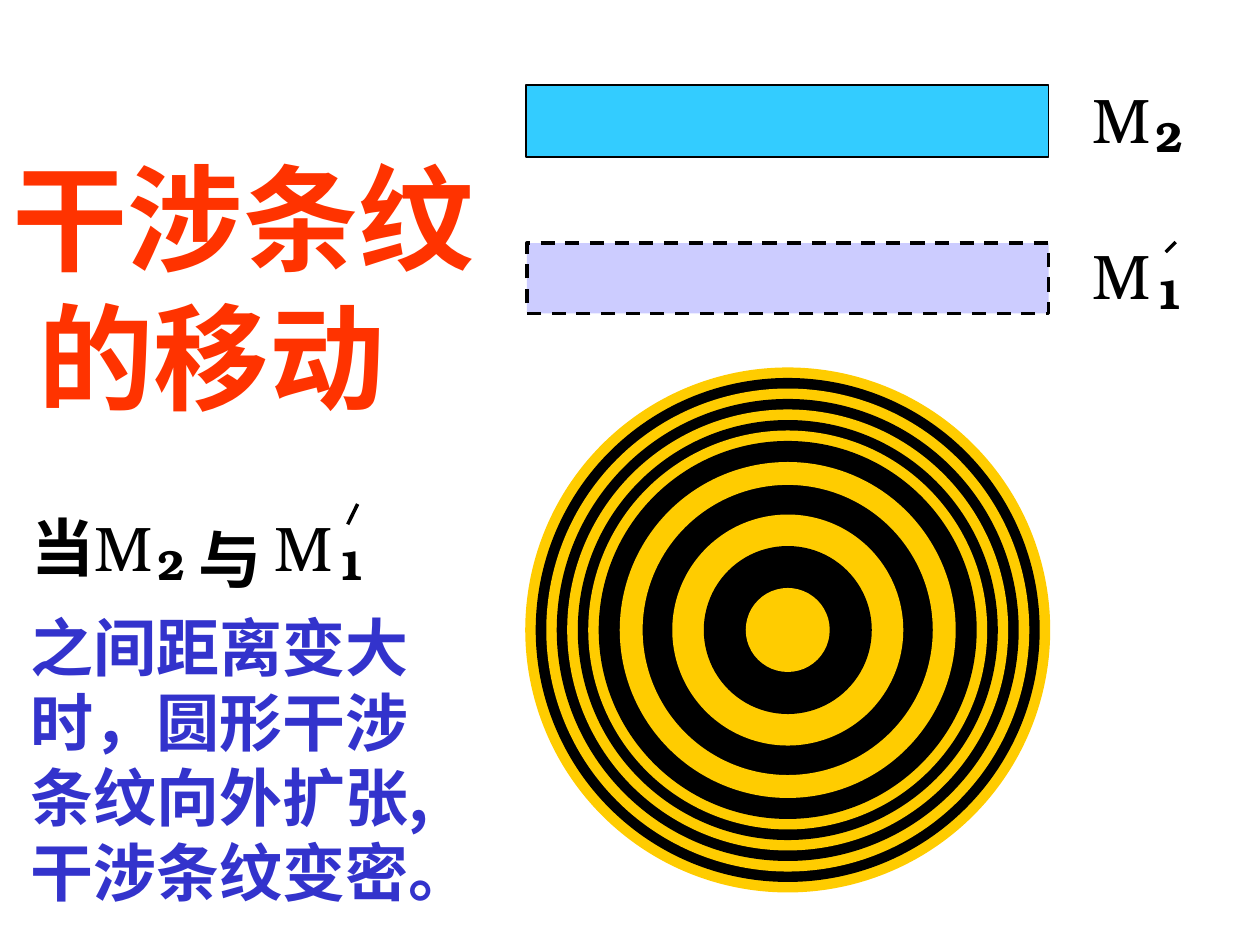
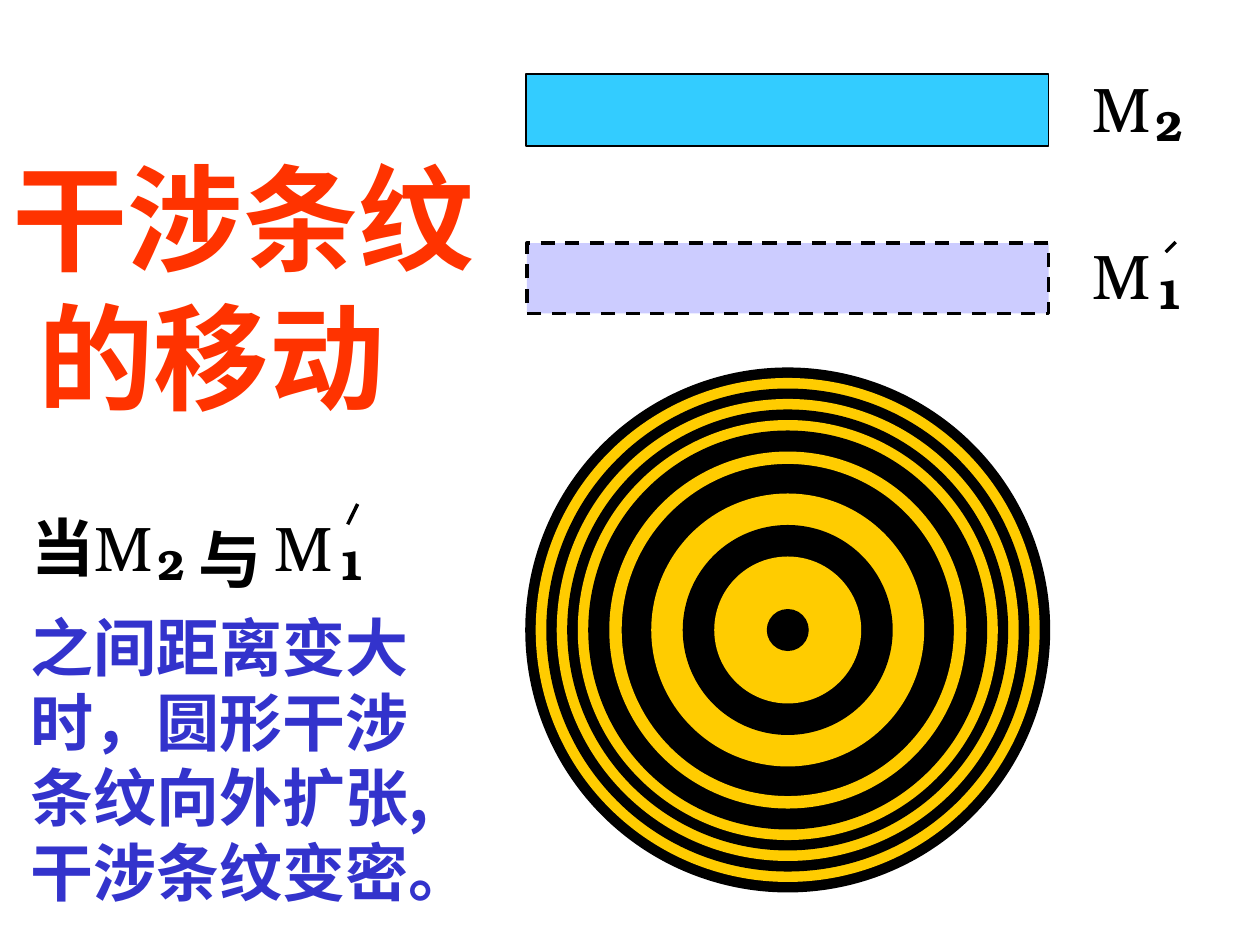
from lxml import etree
from pptx import Presentation
from pptx import util as u
from pptx.dml.color import RGBColor
from pptx.enum import dml, shapes, text
from pptx.oxml.ns import qn

INK = {"black": "000000", "gold": "FFCC00", "cyan": "33CCFF",
       "lilac": "CCCCFF", "blue": "3333CC", "red": "FF3300"}
SERIF = "TeX Gyre Bonum"
SANS = "Noto Sans CJK SC"
MID = (15.88, 12.7)   # centre of the fringes
STEP = 2.54 / 6       # unit of fringe diameter


class Deck:
    def __init__(self):
        self.prs = Presentation()
        self.prs.slide_width, self.prs.slide_height = u.Cm(25.4), u.Cm(19.05)
        self.page = None

    def new(self):
        self.page = self.prs.slides.add_slide(self.prs.slide_layouts[6])

    def paint(self, line, ink, width):
        line.color.rgb = RGBColor.from_string(INK[ink])
        line.width = u.Pt(width)

    def shape(self, kind, x, y, w, h, fill, edge=None, width=1):
        item = self.page.shapes.add_shape(kind, *map(u.Cm, (x, y, w, h)))
        item.shadow.inherit = False
        item.fill.solid()
        item.fill.fore_color.rgb = RGBColor.from_string(INK[fill])
        if edge:
            self.paint(item.line, edge, width)
        else:
            item.line.fill.background()
        return item

    def bar(self, *args, dash=False, **style):
        item = self.shape(shapes.MSO_SHAPE.RECTANGLE, *args, edge="black", **style)
        if dash:
            item.line.dash_style = dml.MSO_LINE.DASH

    def disc(self, size, fill, edge=None):
        """Circle about the fringe centre, its diameter counted in steps."""
        d = size * STEP
        self.shape(shapes.MSO_SHAPE.OVAL, MID[0] - d / 2, MID[1] - d / 2,
                   d, d, fill, edge)

    def line(self, x1, y1, x2, y2):
        item = self.page.shapes.add_connector(
            shapes.MSO_CONNECTOR.STRAIGHT, *map(u.Cm, (x1, y1, x2, y2)))
        self.paint(item.line, "black", 2)
        etree.SubElement(item._element.spPr, qn("a:effectLst"))

    def words(self, x, y, w, h, lines, size, ink="black", font=SERIF,
              bold=True, pitch=None, indent=0):
        """Text box; pitch fixes the line height, indent moves later lines."""
        box = self.page.shapes.add_textbox(*map(u.Cm, (x, y, w, h)))
        frame = box.text_frame
        frame.word_wrap = False
        frame.auto_size = text.MSO_AUTO_SIZE.NONE
        frame.text = "\n".join(lines)
        for i, para in enumerate(frame.paragraphs):
            if pitch:
                para.line_spacing = u.Pt(pitch)
            if i and indent:
                para._p.get_or_add_pPr().set("marL", str(u.Cm(indent)))
            for run in para.runs:
                run.font.size, run.font.bold = u.Pt(size), bold
                run.font.name = font
                run.font.color.rgb = RGBColor.from_string(INK[ink])
                east = etree.SubElement(run._r.get_or_add_rPr(), qn("a:ea"))
                east.set("typeface", font)

    def mirror(self, x, y, index):
        """The letter M with its index number."""
        self.words(x, y, 1.68, 1.78, ["M"], 36, bold=False)
        self.words(x + 1.27, y + 0.61, 1.07, 1.27, [index], 24)


def fringes(deck, sizes, first, edged):
    """Nested discs in turn gold and black; the edged one has a gold rim."""
    inks = ["gold", "black"]
    start = inks.index(first)
    for i, size in enumerate(sizes):
        deck.disc(size, inks[(start + i) % 2], "gold" if size == edged else None)


def build(deck, top, sizes, first, edged):
    deck.new()
    fringes(deck, sizes, first, edged)
    deck.bar(10.6, top, 10.54, 1.45, "cyan")
    deck.bar(10.62, 4.9, 10.52, 1.42, "lilac", width=2, dash=True)
    deck.mirror(21.77, top - 0.22, "2")
    deck.mirror(21.77, 4.65, "1")
    deck.line(23.7, 4.88, 23.5, 5.08)

    deck.words(0.38, 10.13, 1.78, 1.78, ["当"], 36)
    deck.mirror(1.65, 10.13, "2")
    deck.words(3.76, 10.36, 1.78, 1.78, ["与"], 36)
    deck.mirror(5.28, 10.13, "1")
    deck.line(7.21, 10.16, 7.01, 10.57)
    deck.words(0.36, 12.14, 9.4, 6.35,
               ["之间距离变大", "时，圆形干涉", "条纹向外扩张,", "干涉条纹变密。"],
               36, "blue", SANS, pitch=43)
    deck.words(0, 2.82, 9.83, 5.84, ["干涉条纹", "的移动"],
               66, "red", SANS, pitch=79.5, indent=0.52)


def main():
    deck = Deck()
    outer = list(range(25, 18, -1))
    build(deck, 1.71, outer + [18, 16, 13.9, 11, 8, 4], "gold", 13.9)
    build(deck, 1.49, outer + [17, 15.9, 13, 10, 7, 2], "black", 15.9)
    deck.prs.save("out.pptx")


if __name__ == "__main__":
    main()
